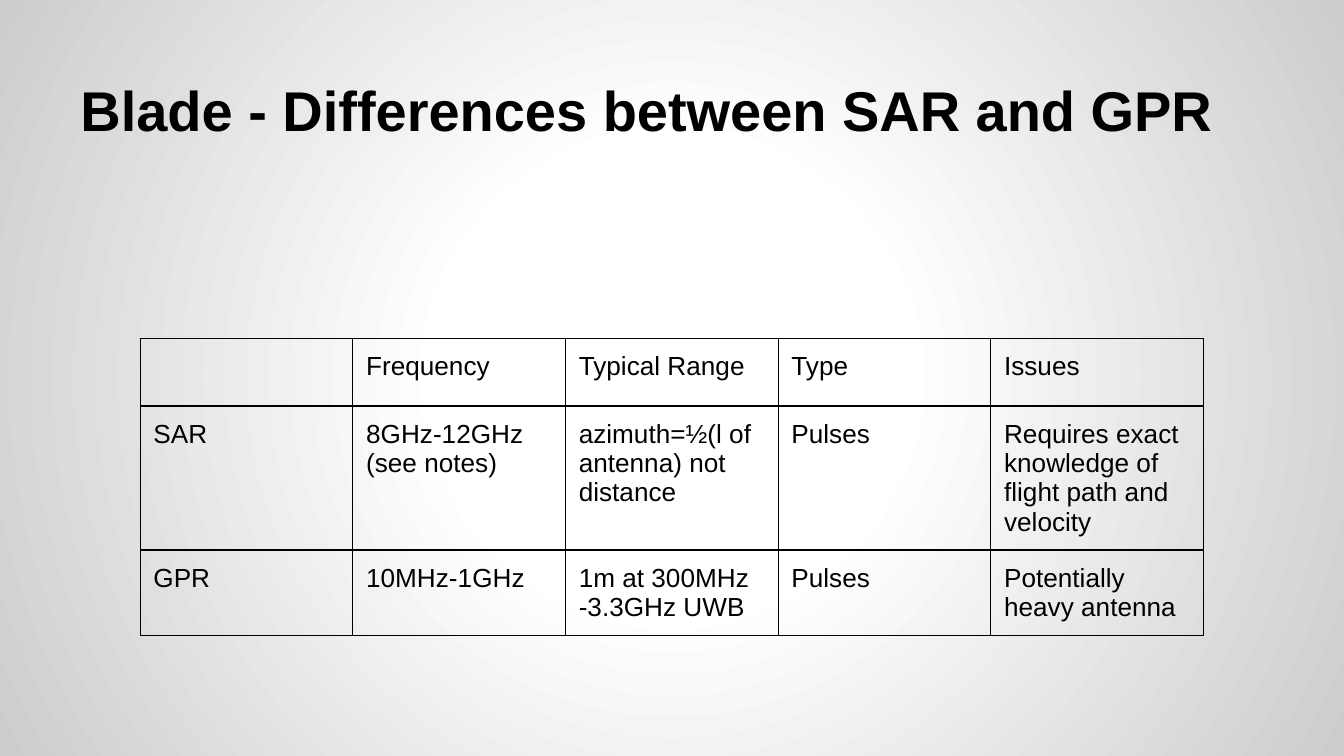
"""Build the slide that compares SAR with GPR."""
from dataclasses import dataclass

from lxml.etree import SubElement
from pptx import Presentation
from pptx.dml.color import RGBColor
from pptx.enum.text import MSO_ANCHOR as Anchor, MSO_AUTO_SIZE as AutoSize, PP_ALIGN as Align
from pptx.oxml.ns import qn
from pptx.util import Cm, Pt


@dataclass(frozen=True)
class Theme:
    font: str = "Arial"
    ink: str = "000000"
    centre: str = "FFFFFF"
    edge: str = "CCCCCC"
    title_size: float = 30
    body_size: float = 14
    rule_width: float = 0.75
    inset: float = 0.25


def write(frame, text, *, font, size, color, bold=False, align=Align.LEFT):
    paragraph = frame.paragraphs[0]
    paragraph.alignment = align
    run = paragraph.add_run()
    run.text = text
    run.font.name = font
    run.font.size = Pt(size)
    run.font.bold = bold
    run.font.color.rgb = RGBColor.from_string(color)


def add_solid_color(parent, color):
    SubElement(parent, qn("a:srgbClr"), val=color)


class SlideBuilder:
    def __init__(self, slide, theme):
        self.slide = slide
        self.theme = theme

    def background(self):
        self.slide.background.fill.gradient()
        gradient = self.slide.element.find(".//" + qn("a:gradFill"))
        for part in list(gradient):
            gradient.remove(part)
        stops = SubElement(gradient, qn("a:gsLst"))
        theme = self.theme
        for percent, color in ((0, theme.centre), (30, theme.centre), (100, theme.edge)):
            add_solid_color(SubElement(stops, qn("a:gs"), pos=str(percent * 1000)), color)
        circle = SubElement(gradient, qn("a:path"), path="circle")
        SubElement(circle, qn("a:fillToRect"), dict.fromkeys("ltrb", "50000"))

    def title(self, text, left, top, width, height):
        heading = self.slide.shapes.title
        heading.left, heading.top = Cm(left), Cm(top)
        heading.width, heading.height = Cm(width), Cm(height)
        frame = heading.text_frame
        frame.word_wrap = True
        frame.auto_size = AutoSize.NONE
        frame.vertical_anchor = Anchor.BOTTOM
        self.set_margins(frame)
        write(frame, text, font=self.theme.font, size=self.theme.title_size,
              color=self.theme.ink, bold=True)

    def table(self, rows, left, top, column_width, row_height):
        columns = len(rows[0])
        grid = self.slide.shapes.add_table(
            len(rows), columns, Cm(left), Cm(top),
            Cm(column_width * columns), Cm(row_height * len(rows))).table
        grid.first_row = grid.horz_banding = False
        for column in grid.columns:
            column.width = Cm(column_width)
        for row, texts in zip(grid.rows, rows):
            row.height = Cm(row_height)
            for cell, text in zip(row.cells, texts):
                self.cell(cell, text)

    def cell(self, cell, text):
        self.set_margins(cell)
        properties = cell._tc.get_or_add_tcPr()
        for side in "LRTB":
            rule = SubElement(properties, qn(f"a:ln{side}"), w=str(Pt(self.theme.rule_width)))
            add_solid_color(SubElement(rule, qn("a:solidFill")), self.theme.ink)
        cell.fill.background()
        if text:
            write(cell.text_frame, text, font=self.theme.font,
                  size=self.theme.body_size, color=self.theme.ink)

    def set_margins(self, holder):
        inset = Cm(self.theme.inset)
        holder.margin_left = holder.margin_right = inset
        holder.margin_top = holder.margin_bottom = inset


def main():
    deck = Presentation()
    deck.slide_width, deck.slide_height = Cm(25.4), Cm(14.29)
    title_only = deck.slide_layouts.get_by_name("Title Only")
    builder = SlideBuilder(deck.slides.add_slide(title_only), Theme())
    builder.background()
    builder.title("Blade - Differences between SAR and GPR", 1.27, 0.57, 22.86, 2.38)
    comparison = [
        ("", "Frequency", "Typical Range", "Type", "Issues"),
        ("SAR", "8GHz-12GHz (see notes)", "azimuth=½(l of antenna) not distance",
         "Pulses", "Requires exact knowledge of flight path and velocity"),
        ("GPR", "10MHz-1GHz", "1m at 300MHz -3.3GHz UWB",
         "Pulses", "Potentially heavy antenna"),
    ]
    builder.table(comparison, left=2.65, top=6.4, column_width=4.02, row_height=1.07)
    deck.save("out.pptx")


if __name__ == "__main__":
    main()
